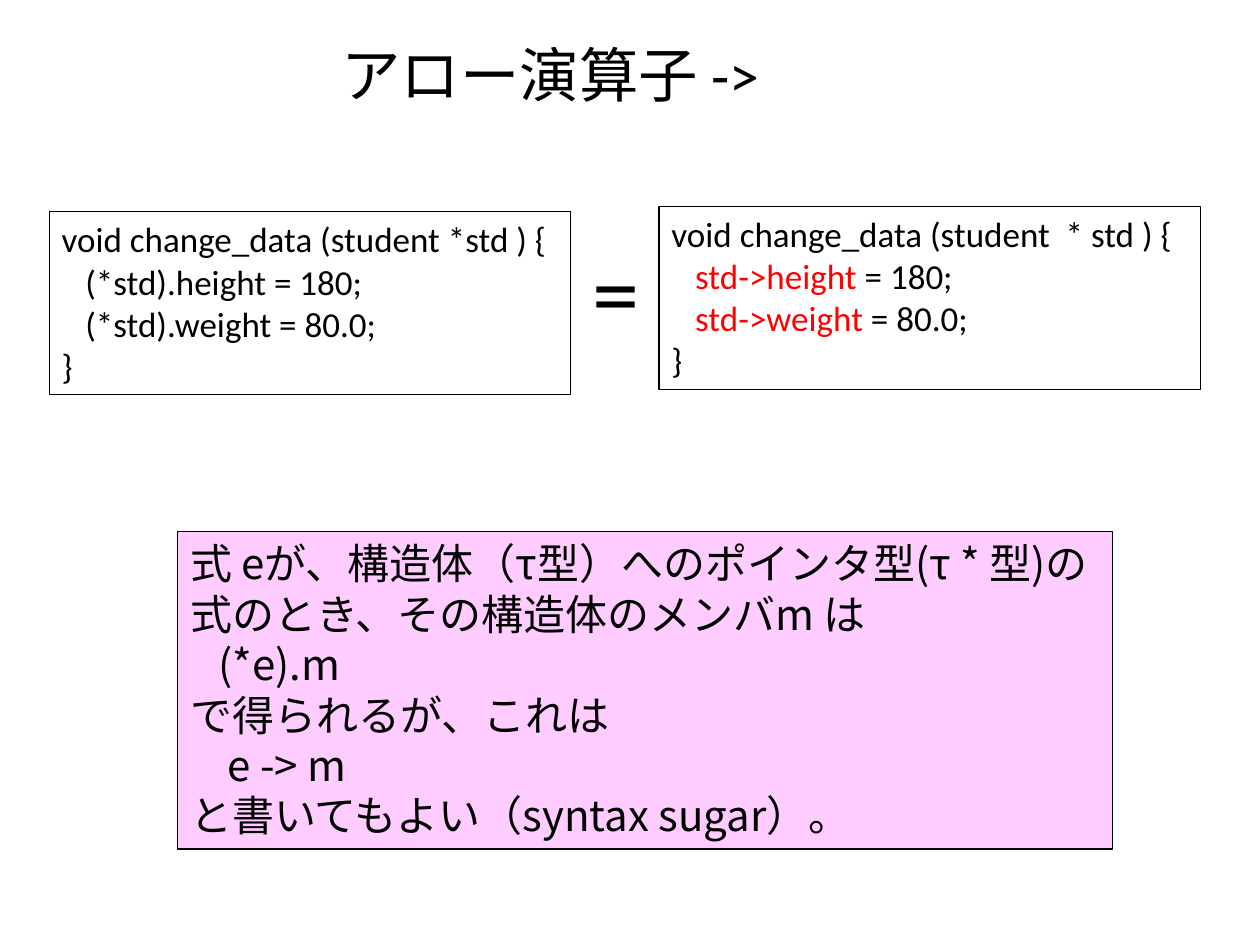
"""Build the slide that explains the arrow operator of C."""
from dataclasses import dataclass

from lxml import etree
from pptx import Presentation
from pptx.dml.color import RGBColor
from pptx.enum.shapes import MSO_SHAPE
from pptx.enum.text import MSO_ANCHOR, PP_ALIGN
from pptx.oxml.ns import qn
from pptx.util import Pt

RECTANGLE = MSO_SHAPE.RECTANGLE
LEFT, CENTER = PP_ALIGN.LEFT, PP_ALIGN.CENTER
TOP, MIDDLE = MSO_ANCHOR.TOP, MSO_ANCHOR.MIDDLE
LATIN_FONT, JAPANESE_FONT = "Calibri", "Noto Sans CJK JP"
BLACK, RED, PINK = "000000", "FF0000", "FFCCFF"


@dataclass(frozen=True)
class Span:
    text: str
    color: str = BLACK


@dataclass(frozen=True)
class Panel:
    left: float
    top: float
    width: float
    height: float
    lines: list[list[Span]]
    size: float = 20
    font: str = LATIN_FONT
    fill: str | None = None


def rgb(color: str) -> RGBColor:
    """Turn a hex string into a colour."""
    return RGBColor.from_string(color)


def plain(*lines: str) -> list[list[Span]]:
    """Make one black span of each line."""
    return [[Span(line)] for line in lines]


def place(shape, left: float, top: float, width: float, height: float) -> None:
    """Set the position and size of a shape in points."""
    shape.left, shape.top = Pt(left), Pt(top)
    shape.width, shape.height = Pt(width), Pt(height)


def write(shape, lines: list[list[Span]], *, size: float, font: str = LATIN_FONT,
          align=LEFT, anchor=TOP, wrap: bool = True) -> None:
    """Write lines of coloured spans into a shape."""
    frame = shape.text_frame
    frame.word_wrap = wrap
    frame.vertical_anchor = anchor
    for index, line in enumerate(lines):
        paragraph = frame.add_paragraph() if index else frame.paragraphs[0]
        paragraph.alignment = align
        for span in line:
            run = paragraph.add_run()
            run.text = span.text
            run.font.size = Pt(size)
            run.font.name = font
            run.font.color.rgb = rgb(span.color)
            properties = run.font._element
            etree.SubElement(properties, qn("a:ea"), typeface=JAPANESE_FONT)


def draw_panel(slide, panel: Panel) -> None:
    """Draw a framed box with its text."""
    shape = slide.shapes.add_shape(RECTANGLE, 0, 0, 0, 0)
    place(shape, panel.left, panel.top, panel.width, panel.height)
    shape.shadow.inherit = False
    if panel.fill:
        shape.fill.solid()
        shape.fill.fore_color.rgb = rgb(panel.fill)
    else:
        shape.fill.background()
    shape.line.color.rgb = rgb(BLACK)
    shape.line.width = Pt(0.75)
    write(shape, panel.lines, size=panel.size, font=panel.font)


PANELS = [
    Panel(28.1, 121, 298, 104.4, plain(
        "void change_data (student *std ) {",
        "   (*std).height = 180;",
        "   (*std).weight = 80.0;",
        "}",
    )),
    Panel(376.6, 118, 309.6, 104.4, [
        [Span("void change_data (student  * std ) {")],
        [Span("   "), Span("std->height ", RED), Span("= 180;")],
        [Span("   "), Span("std->weight", RED), Span(" = 80.0;")],
        [Span("}")],
    ]),
    Panel(101.5, 303.8, 534.2, 181.4, plain(
        "式 eが、構造体（τ型）へのポインタ型(τ * 型)の式のとき、その構造体のメンバm は",
        "   (*e).m",
        "で得られるが、これは",
        "    e -> m",
        "と書いてもよい（syntax sugar）。",
    ), size=24, font=JAPANESE_FONT, fill=PINK),
]


def main() -> None:
    """Build and save the presentation."""
    presentation = Presentation()
    presentation.slide_width, presentation.slide_height = Pt(720), Pt(540)
    slide = presentation.slides.add_slide(presentation.slide_layouts[5])

    title = slide.shapes.title
    place(title, 14.4, 15.1, 600, 54)
    write(title, plain("アロー演算子 ->"), size=34, align=CENTER, anchor=MIDDLE)

    for panel in PANELS:
        draw_panel(slide, panel)

    equals_sign = slide.shapes.add_textbox(Pt(331.2), Pt(129.6), Pt(46), Pt(72))
    write(equals_sign, plain("="), size=54, wrap=False)

    presentation.save("out.pptx")


if __name__ == "__main__":
    main()
